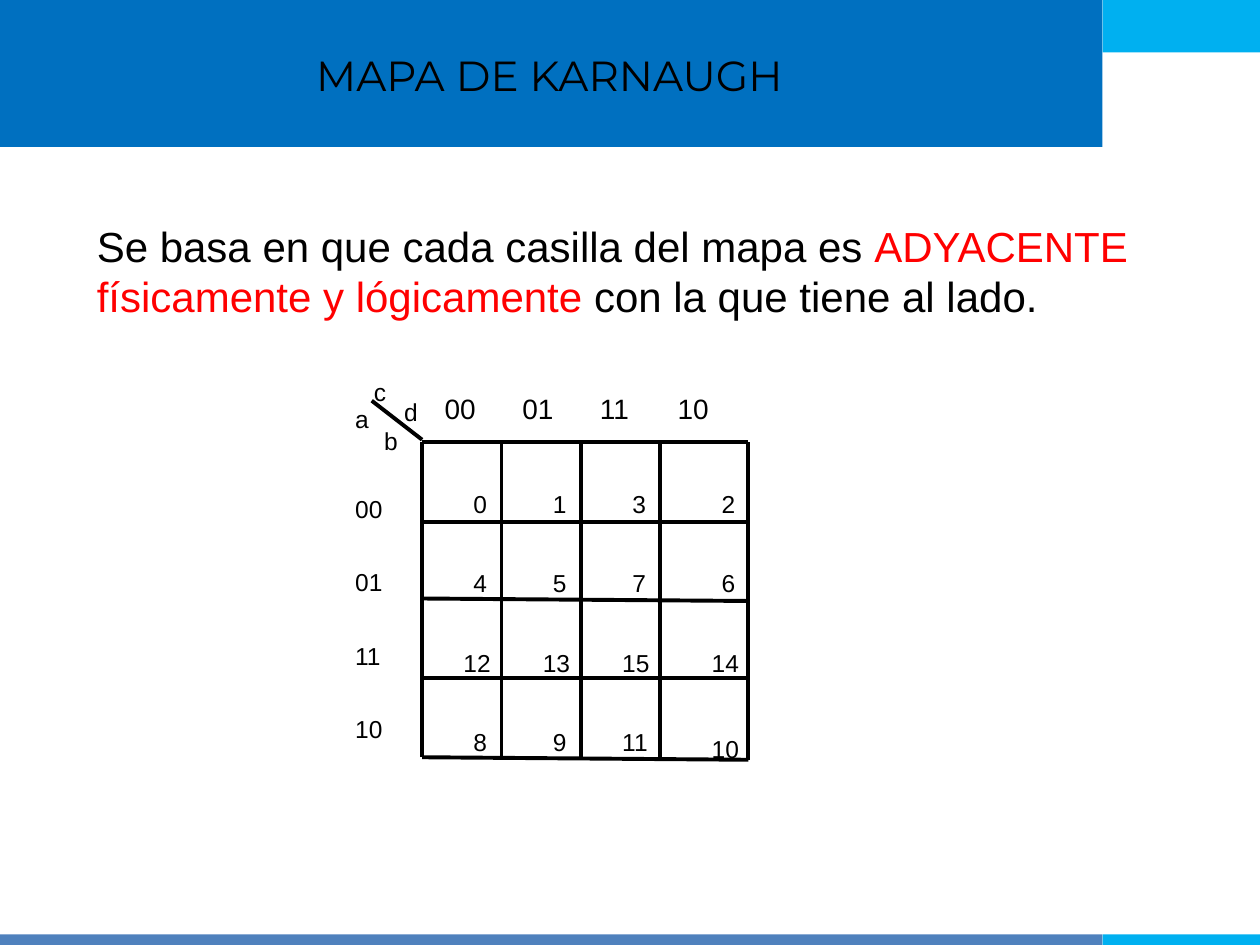
from dataclasses import dataclass

from lxml import etree
from pptx import Presentation
from pptx.dml.color import RGBColor
from pptx.enum.shapes import MSO_CONNECTOR, MSO_SHAPE
from pptx.enum.text import MSO_ANCHOR, MSO_AUTO_SIZE, PP_ALIGN
from pptx.oxml.ns import qn
from pptx.util import Pt

RECTANGLE = MSO_SHAPE.RECTANGLE
STRAIGHT = MSO_CONNECTOR.STRAIGHT
MIDDLE = MSO_ANCHOR.MIDDLE
CENTER = PP_ALIGN.CENTER
GROW = MSO_AUTO_SIZE.SHAPE_TO_FIT_TEXT


@dataclass(frozen=True)
class Theme:
    header: str = "0070C0"
    accent: str = "00B0F0"
    footer: str = "4F81BD"
    ink: str = "000000"
    highlight: str = "FF0000"
    title_font: str = "Montserrat"
    body_font: str = "Arial"
    large: int = 24
    heading: int = 16
    small: int = 14
    stroke: float = 2.25


THEME = Theme()

# Karnaugh map: Gray code order, cell pitch and outer edges
GRAY = ("00", "01", "11", "10")
PITCH = 45.36
LEFT, TOP, RIGHT, BOTTOM = 241.2, 252.72, 427.68, 434.16
LABEL_SIZE = (33.84, 24.24)


def add_bar(page, left, top, width, height, color):
    bar = page.shapes.add_shape(RECTANGLE, Pt(left), Pt(top), Pt(width), Pt(height))
    bar.shadow.inherit = False
    bar.fill.solid()
    bar.fill.fore_color.rgb = RGBColor.from_string(color)
    bar.line.fill.background()


def add_line(page, x1, y1, x2, y2):
    line = page.shapes.add_connector(STRAIGHT, Pt(x1), Pt(y1), Pt(x2), Pt(y2))
    line.line.color.rgb = RGBColor.from_string(THEME.ink)
    line.line.width = Pt(THEME.stroke)
    etree.SubElement(line._element.spPr, qn("a:effectLst"))


def style_span(span, size, color=THEME.ink, font=THEME.body_font):
    span.font.size = Pt(size)
    span.font.name = font
    span.font.color.rgb = RGBColor.from_string(color)


def add_text(page, left, top, width, height, text, size, font=THEME.body_font):
    box = page.shapes.add_textbox(Pt(left), Pt(top), Pt(width), Pt(height))
    frame = box.text_frame
    frame.word_wrap = True
    frame.auto_size = GROW
    frame.text = text
    for para in frame.paragraphs:
        for span in para.runs:
            style_span(span, size, font=font)
    return frame


def add_label(page, left, top, text):
    add_text(page, left, top, *LABEL_SIZE, text, THEME.small)


def add_tab_stops(para, pitch, count):
    stops = etree.SubElement(para._p.get_or_add_pPr(), qn("a:tabLst"))
    for index in range(1, count + 1):
        etree.SubElement(stops, qn("a:tab"), pos=str(Pt(pitch * index)), algn="l")


def add_bands(page):
    add_bar(page, 0, 0, 630, 84, THEME.header)
    add_bar(page, 630, 0, 90, 30, THEME.accent)
    add_bar(page, 0, 534, 630, 6, THEME.footer)
    add_bar(page, 630, 534, 90, 6, THEME.accent)


def add_title(page):
    frame = add_text(page, 7.92, 7.92, 612, 69.84, "MAPA DE KARNAUGH",
                     THEME.large, THEME.title_font)
    frame.auto_size = MSO_AUTO_SIZE.NONE
    frame.vertical_anchor = MIDDLE
    frame.paragraphs[0].alignment = CENTER


def add_statement(page):
    frame = add_text(page, 48.24, 122.4, 606.96, 65.52, "", THEME.large)
    for text, color in (
        ("Se basa en que cada casilla del mapa es ", THEME.ink),
        ("ADYACENTE físicamente y lógicamente ", THEME.highlight),
        ("con la que tiene al lado.", THEME.ink),
    ):
        span = frame.paragraphs[0].add_run()
        span.text = text
        style_span(span, THEME.large, color)


def add_grid(page):
    # Verticals: even pitch, with a wider last column
    for x in [LEFT + PITCH * column for column in range(4)] + [RIGHT]:
        add_line(page, x, TOP, x, BOTTOM - 1.44 if x == LEFT else BOTTOM)
    # Horizontals: two of them slope slightly
    for left_y, right_y in ((TOP, TOP), (298.08, 298.08), (342, 343.44),
                            (387.36, 387.36), (BOTTOM - 1.44, BOTTOM)):
        add_line(page, RIGHT, right_y, LEFT, left_y)


def add_headings(page):
    # Variables around the corner diagonal
    add_line(page, 212.4, 228.96, LEFT, 251.28)
    for left, top, name in ((206.64, 211.68, "c"), (223.92, 223.2, "d"),
                            (195.84, 227.52, "a"), (212.4, 239.76, "b")):
        add_label(page, left, top, name)

    rows = add_text(page, 195.84, 253.44, 39.6, 169.2, "\n".join(GRAY), THEME.small)
    for para in rows.paragraphs:
        para.line_spacing = 2.5

    columns = add_text(page, 246.96, 220.32, 181.44, 26.64, "\t".join(GRAY), THEME.heading)
    add_tab_stops(columns.paragraphs[0], 44.4, len(GRAY) - 1)


def add_cell_numbers(page):
    for row, row_code in enumerate(GRAY):
        for column, column_code in enumerate(GRAY):
            number = int(row_code + column_code, 2)
            left = 405.36 if column == 3 else 263.52 + PITCH * column
            if number > 9:
                left -= 5.76
            top = 275.76 + PITCH * row
            if row == column == 3:
                top += 4.32
            add_label(page, left, top, str(number))


def main():
    deck = Presentation()
    deck.slide_width, deck.slide_height = Pt(720), Pt(540)
    page = deck.slides.add_slide(deck.slide_layouts[6])
    add_bands(page)
    add_title(page)
    add_statement(page)
    add_grid(page)
    add_headings(page)
    add_cell_numbers(page)
    deck.save("out.pptx")


if __name__ == "__main__":
    main()
